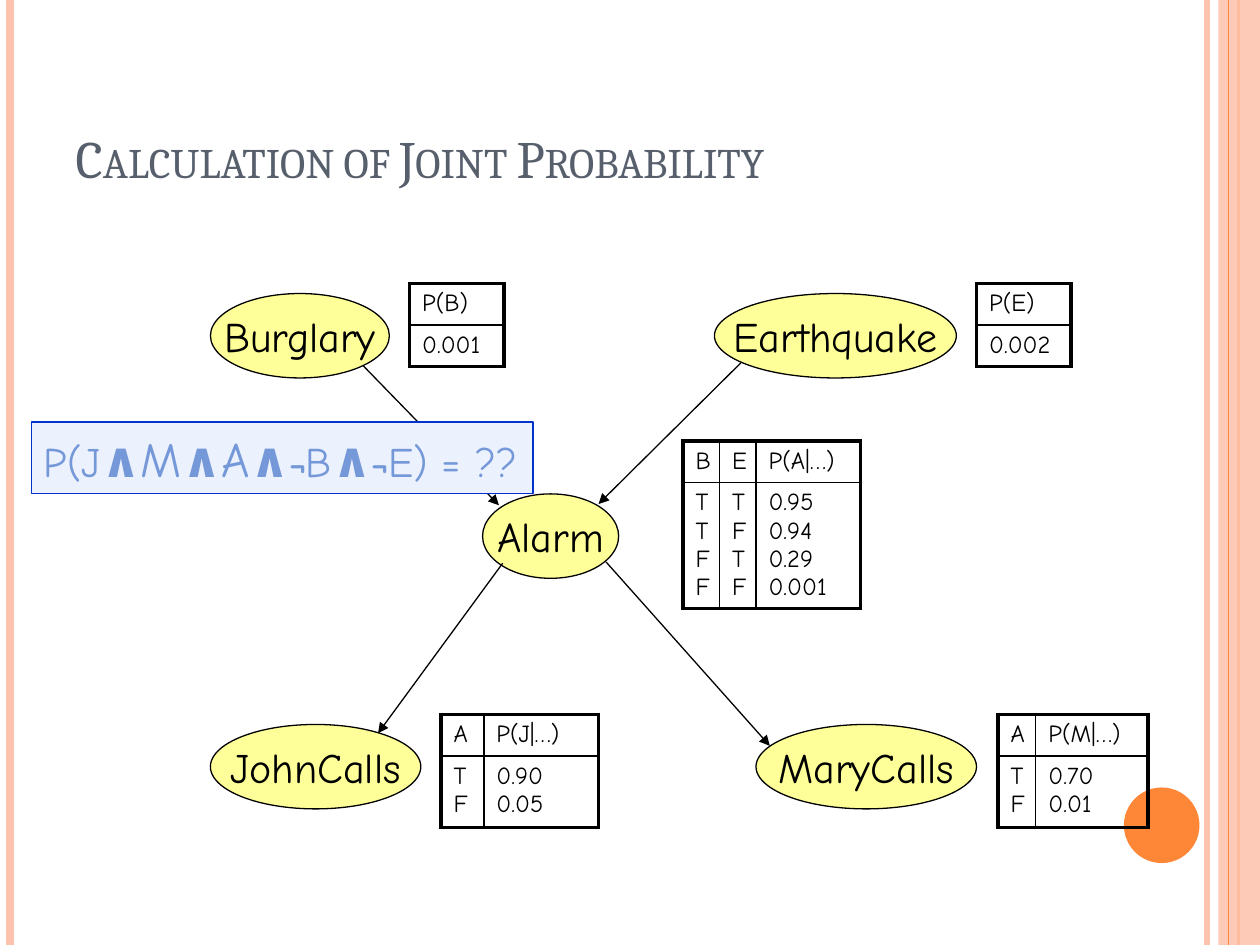
from lxml import etree
from pptx import Presentation
from pptx.dml.color import RGBColor
from pptx.enum.shapes import MSO_CONNECTOR, MSO_SHAPE
from pptx.enum.text import MSO_ANCHOR, PP_ALIGN
from pptx.oxml import parse_xml
from pptx.oxml.ns import nsdecls, qn
from pptx.util import Inches, Pt

RECT, OVAL = MSO_SHAPE.RECTANGLE, MSO_SHAPE.OVAL
LINE = MSO_CONNECTOR.STRAIGHT
TOP, MID, BOTTOM = MSO_ANCHOR.TOP, MSO_ANCHOR.MIDDLE, MSO_ANCHOR.BOTTOM
LEFT, CENTER = PP_ALIGN.LEFT, PP_ALIGN.CENTER

# Colours, fonts and type sizes
THEME = {
    "ink": "000000", "title": "575F6D", "node": "FFFF99",
    "peach": "FEC3AE", "orange": "FE8637",
    "pale": "ECF1FE", "edge": "0033CC", "query": "7598D9",
    "head": "Cambria", "body": "Comic Neue",
    "title_pt": 30, "node_pt": 24, "cell_pt": 14,
    "and_pt": 28, "not_pt": 20,
    "thin": 0.75, "inner": 1, "outer": 2.25,
}


def style(run, color, size, face="body"):
    run.font.name = THEME[face]
    run.font.size = Pt(THEME[size])
    run.font.color.rgb = RGBColor.from_string(THEME[color])


def add_line(x1, y1, x2, y2, color, width):
    line = slide.shapes.add_connector(
        LINE, Inches(x1), Inches(y1), Inches(x2), Inches(y2))
    line.line.color.rgb = RGBColor.from_string(THEME[color])
    line.line.width = Pt(width)
    etree.SubElement(line._element.spPr, qn("a:effectLst"))
    return line


deck = Presentation()
deck.slide_width, deck.slide_height = Inches(10), Inches(7.5)
slide = deck.slides.add_slide(deck.slide_layouts[5])

# Title
title = slide.shapes.title
title.left, title.top = Inches(0.5), Inches(0.3)
title.width, title.height = Inches(8.17), Inches(1.25)
frame = title.text_frame
frame.text = "Calculation of Joint Probability"
frame.vertical_anchor = BOTTOM
frame.paragraphs[0].alignment = LEFT
run = frame.paragraphs[0].runs[0]
style(run, "title", "title_pt", "head")
run.font._element.set("cap", "small")

# Side stripes and corner disc
for x, color, width in [(9.58, "peach", 3), (0.08, "peach", 4.5),
                        (9.83, "orange", 1.5)]:
    add_line(x, 0, x, 7.5, color, width)
for kind, box, color in [(RECT, (9.67, 0, 0.33, 7.5), "peach"),
                         (OVAL, (8.92, 6.25, 0.6, 0.6), "orange")]:
    deco = slide.shapes.add_shape(kind, *map(Inches, box))
    deco.shadow.inherit = False
    deco.fill.solid()
    deco.fill.fore_color.rgb = RGBColor.from_string(THEME[color])
    deco.line.fill.background()
    if kind == RECT:
        tint = deco._element.spPr.find(".//" + qn("a:srgbClr"))
        etree.SubElement(tint, qn("a:alpha"), val="87000")
add_line(9.75, 0, 9.75, 7.5, "orange", 0.75)

# Network nodes
for name, x, y, width in [
    ("Burglary", 1.67, 2.33, 1.42),
    ("Earthquake", 5.67, 2.33, 1.92),
    ("Alarm", 3.83, 3.92, 1.08),
    ("MaryCalls", 6, 5.75, 1.75),
    ("JohnCalls", 1.67, 5.75, 1.67),
]:
    node = slide.shapes.add_shape(
        OVAL, Inches(x), Inches(y), Inches(width), Inches(0.67))
    node.shadow.inherit = False
    node.fill.solid()
    node.fill.fore_color.rgb = RGBColor.from_string(THEME["node"])
    node.line.color.rgb = RGBColor.from_string(THEME["ink"])
    node.line.width = Pt(THEME["thin"])
    frame = node.text_frame
    frame.text = name
    frame.word_wrap = False
    frame.vertical_anchor = MID
    frame.paragraphs[0].alignment = CENTER
    style(frame.paragraphs[0].runs[0], "ink", "node_pt")

# Cause-to-effect arrows
for ends in [(2.88, 2.9, 3.96, 4.01), (5.88, 2.88, 4.75, 4),
             (3.99, 4.47, 3, 5.82), (4.81, 4.46, 6.11, 5.92)]:
    arrow = add_line(*ends, "ink", THEME["thin"])
    stroke = arrow._element.spPr.find(qn("a:ln"))
    etree.SubElement(stroke, qn("a:tailEnd"), type="triangle")

# Probability tables: place, column widths, row heights, cells
for x, y, cols, rows, cells in [
    (5.42, 3.5, [0.29, 0.29, 0.83], [0.33, 1],
     [["B", "E", "P(A|…)"],
      ["T\vT\vF\vF", "T\vF\vT\vF", "0.95\v0.94\v0.29\v0.001"]]),
    (3.25, 2.25, [0.75], [0.33, 0.33], [["P(B)"], ["0.001"]]),
    (7.75, 2.25, [0.75], [0.33, 0.33], [["P(E)"], ["0.002"]]),
    (3.5, 5.67, [0.34, 0.91], [0.33, 0.57],
     [["A", "P(J|…)"], ["T\vF", "0.90\v0.05"]]),
    (7.92, 5.67, [0.3, 0.89], [0.33, 0.57],
     [["A", "P(M|…)"], ["T\vF", "0.70\v0.01"]]),
]:
    table = slide.shapes.add_table(
        len(rows), len(cols), Inches(x), Inches(y),
        Inches(sum(cols)), Inches(sum(rows))).table
    table.first_row = table.horz_banding = False
    for col, width in zip(table.columns, cols):
        col.width = Inches(width)
    for row, height in zip(table.rows, rows):
        row.height = Inches(height)
    for r, texts in enumerate(cells):
        for c, text in enumerate(texts):
            cell = table.cell(r, c)
            # Room for a letter and its line break in narrow columns
            cell.margin_right = Inches(0)
            para = cell.text_frame.paragraphs[0]
            para.text = text
            for run in para.runs:
                style(run, "ink", "cell_pt")
            sides = {"L": c == 0, "R": c == len(cols) - 1,
                     "T": r == 0, "B": r == len(rows) - 1}
            props = cell._tc.get_or_add_tcPr()
            for side, outside in sides.items():
                width = Pt(THEME["outer" if outside else "inner"])
                props.append(parse_xml(
                    f'<a:ln{side} {nsdecls("a")} w="{width}"><a:solidFill>'
                    f'<a:srgbClr val="{THEME["ink"]}"/></a:solidFill>'
                    f'</a:ln{side}>'))
            cell.fill.background()

# Query box
query = slide.shapes.add_shape(
    RECT, Inches(0.25), Inches(3.35), Inches(3.98), Inches(0.57))
query.shadow.inherit = False
query.fill.solid()
query.fill.fore_color.rgb = RGBColor.from_string(THEME["pale"])
query.line.color.rgb = RGBColor.from_string(THEME["edge"])
query.line.width = Pt(THEME["thin"])
frame = query.text_frame
frame.word_wrap = False
frame.vertical_anchor = TOP
para = frame.paragraphs[0]
para.alignment = LEFT
for text, size in [
    ("P(J", "node_pt"), ("∧", "and_pt"), ("M", "and_pt"), ("∧", "and_pt"),
    ("A", "and_pt"), ("∧", "and_pt"), ("¬", "not_pt"), ("B", "node_pt"),
    ("∧", "and_pt"), ("¬", "not_pt"), ("E) = ??", "node_pt"),
]:
    run = para.add_run()
    run.text = text
    style(run, "query", size)
    run.font.bold = text in "∧¬"

deck.save("out.pptx")
